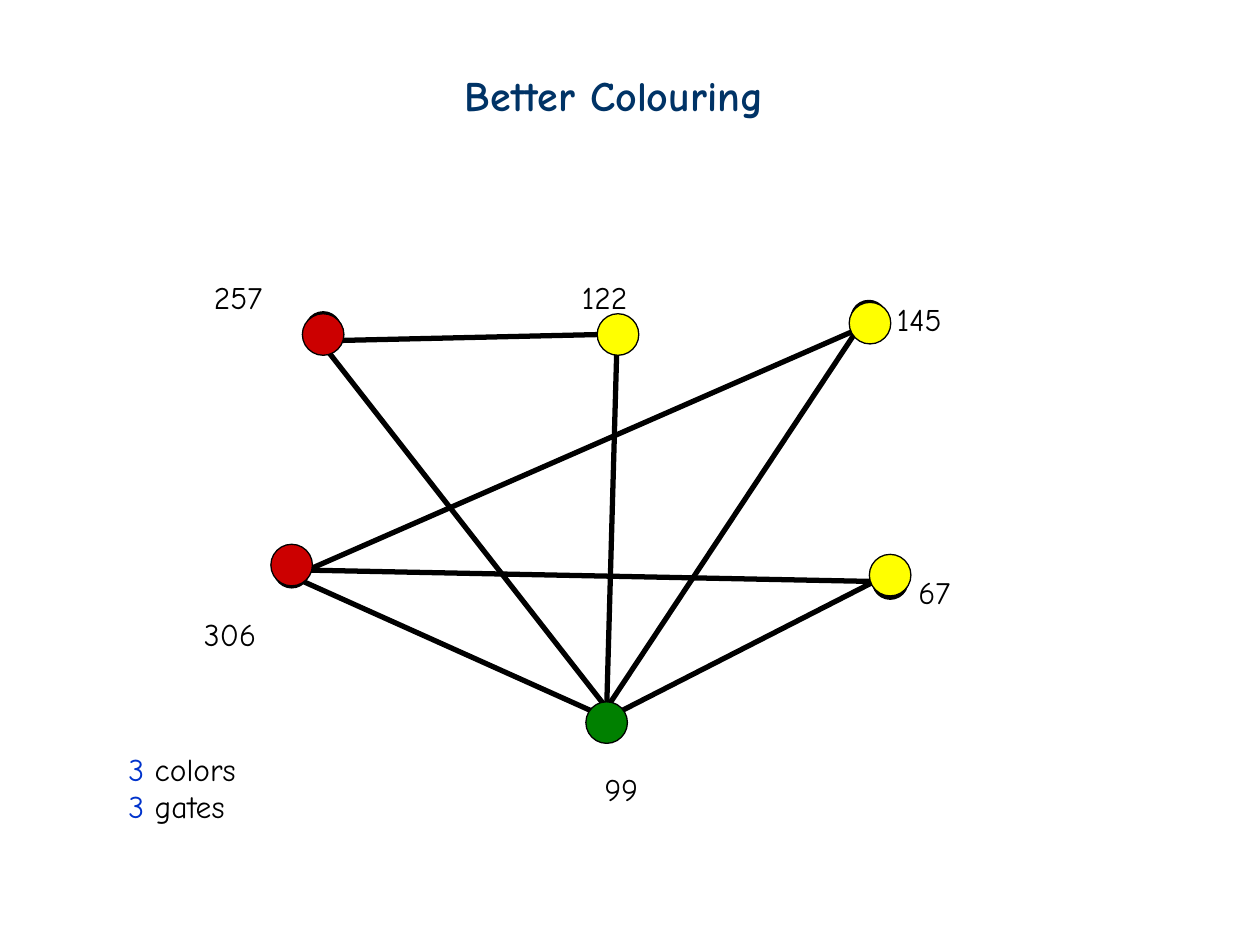
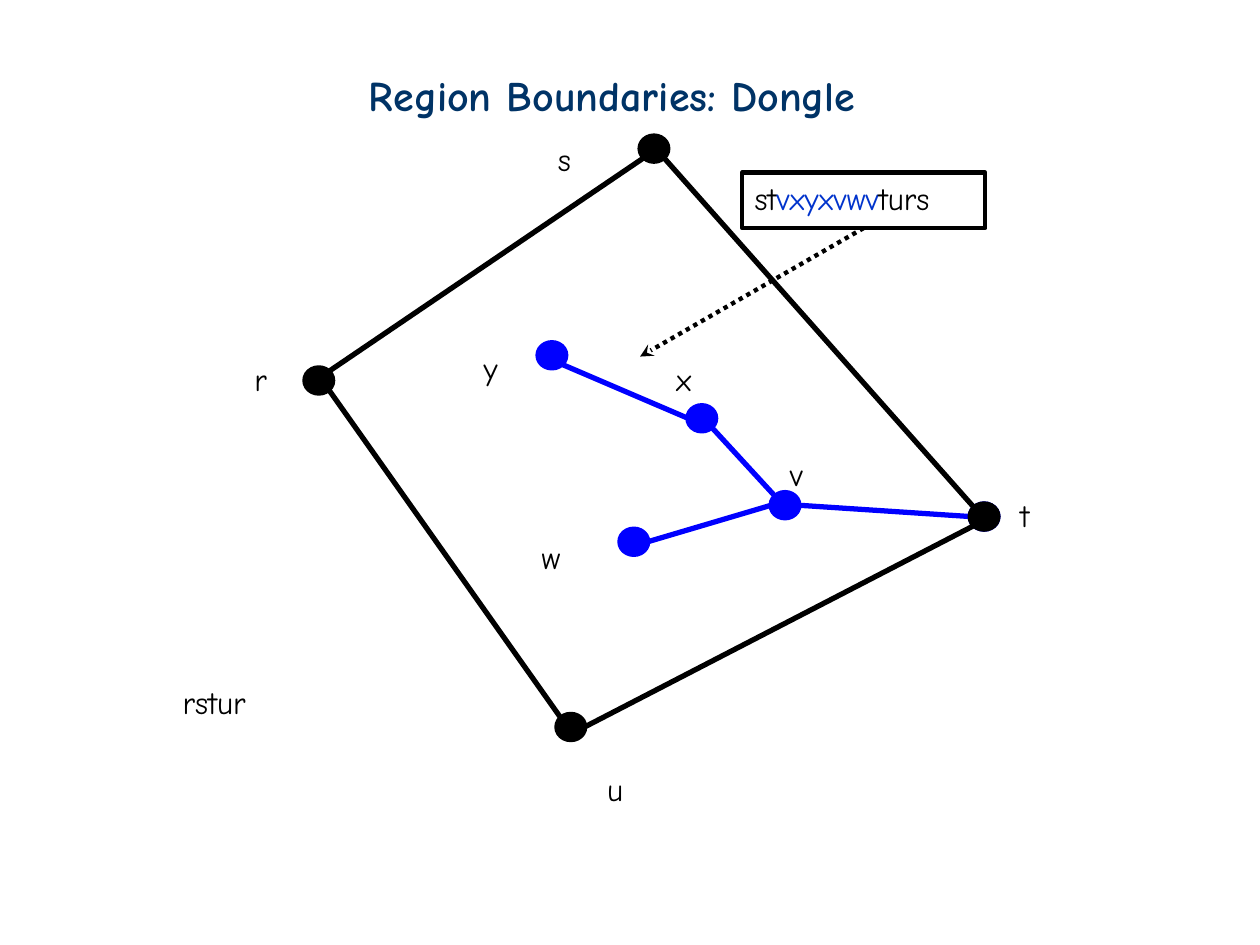
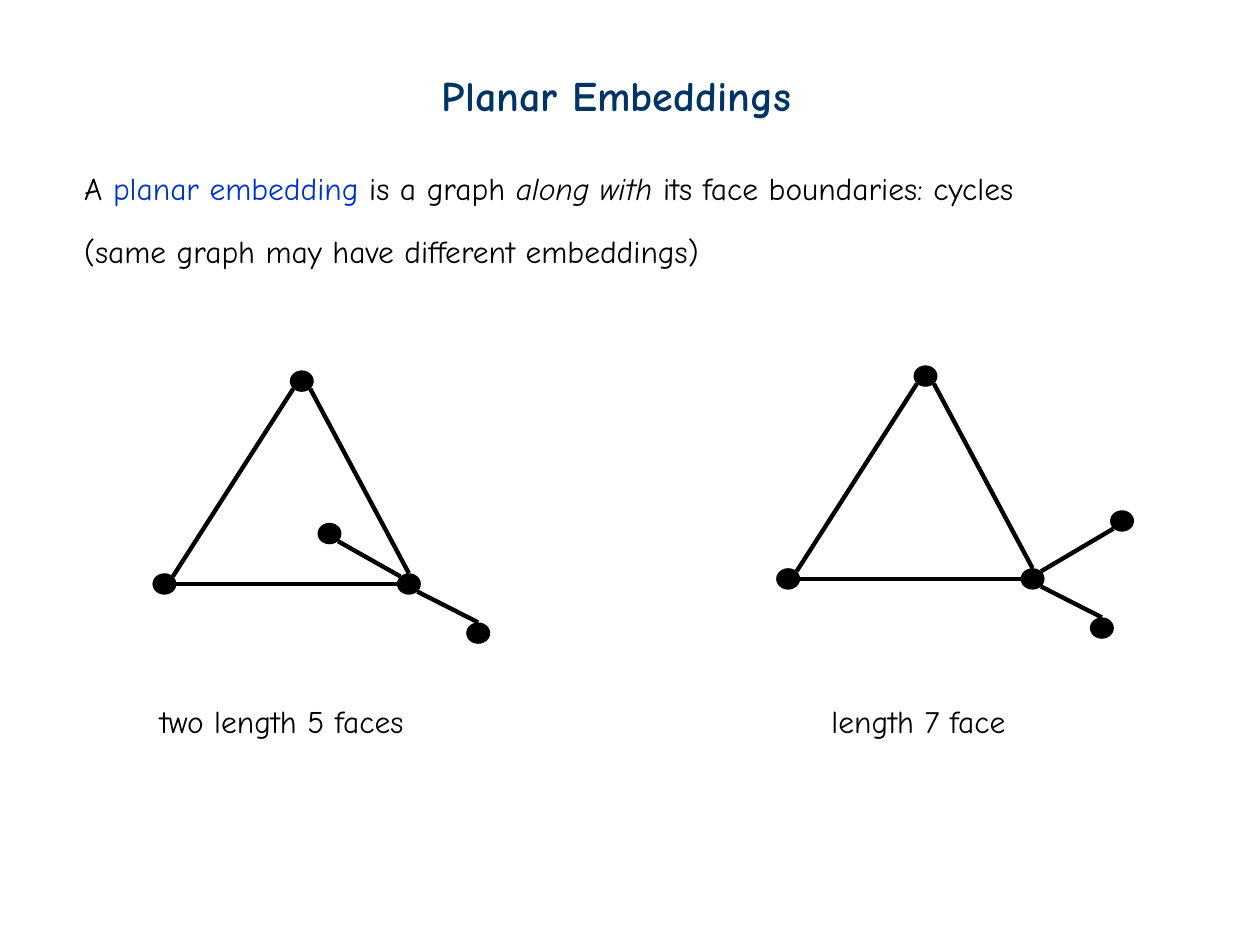
import dataclasses
import math

import lxml.etree
import pptx
import pptx.dml.color
import pptx.enum.dml
import pptx.enum.shapes
import pptx.enum.text
import pptx.oxml.ns
import pptx.util

Inches = pptx.util.Inches
Pt = pptx.util.Pt


@dataclasses.dataclass(frozen=True)
class Theme:
    font: str = "Comic Neue"
    title_size: int = 24
    text_size: int = 18
    title: str = "003366"
    ink: str = "000000"
    accent: str = "0033CC"
    blue: str = "0000FF"
    red: str = "CC0000"
    yellow: str = "FFFF00"
    green: str = "008000"
    thick: float = 3
    medium: float = 2.5
    thin: float = 0.75


@dataclasses.dataclass(frozen=True)
class Box:
    left: float
    top: float
    width: float
    height: float

    def inner(self, dx, dy, width, height):
        return Box(self.left + dx, self.top + dy, width, height)

    def site(self, direction):
        angle = math.radians(DIRECTIONS.index(direction) * 45)
        return (self.left + self.width / 2 * (1 + math.cos(angle)),
                self.top + self.height / 2 * (1 + math.sin(angle)))

    def emu(self):
        return [Inches(v) for v in (self.left, self.top, self.width, self.height)]


DIRECTIONS = ["e", "se", "s", "sw", "w", "nw", "n", "ne"]
THEME = Theme()


def rgb(color):
    return pptx.dml.color.RGBColor.from_string(color)


def set_line(line, color, width):
    line.color.rgb = rgb(color)
    line.width = Pt(width)


def add_oval(s, box, fill, line=None, width=THEME.thick):
    sp = s.shapes.add_shape(pptx.enum.shapes.MSO_SHAPE.OVAL, *box.emu())
    sp.shadow.inherit = False
    sp.fill.solid()
    sp.fill.fore_color.rgb = rgb(fill)
    if line:
        set_line(sp.line, line, width)
    else:
        sp.line.fill.background()


def add_line(s, start, end, color=THEME.ink, width=THEME.thick):
    points = [Inches(v) for v in (*start, *end)]
    cxn = s.shapes.add_connector(pptx.enum.shapes.MSO_CONNECTOR.STRAIGHT, *points)
    set_line(cxn.line, color, width)
    lxml.etree.SubElement(cxn._element.spPr, pptx.oxml.ns.qn("a:effectLst"))
    return cxn


def add_dotted_arrow(s, start, end):
    cxn = add_line(s, start, end, width=THEME.medium)
    cxn.line.dash_style = pptx.enum.dml.MSO_LINE.ROUND_DOT
    ln = cxn._element.spPr.find(pptx.oxml.ns.qn("a:ln"))
    lxml.etree.SubElement(ln, pptx.oxml.ns.qn("a:tailEnd"), type="stealth")


def add_text(s, box, *paragraphs, size=THEME.text_size, color=THEME.ink,
             bold=False, wrap=False):
    sp = s.shapes.add_textbox(*box.emu())
    tf = sp.text_frame
    tf.word_wrap = wrap
    if not wrap:
        tf.auto_size = pptx.enum.text.MSO_AUTO_SIZE.SHAPE_TO_FIT_TEXT
    for i, runs in enumerate(paragraphs):
        p = tf.add_paragraph() if i else tf.paragraphs[0]
        p.alignment = pptx.enum.text.PP_ALIGN.LEFT
        p.font.name = THEME.font
        p.font.size = Pt(size)
        p.font.bold = bold
        p.font.color.rgb = rgb(color)
        for text, *style in [(runs,)] if isinstance(runs, str) else runs:
            r = p.add_run()
            r.text = text
            if "accent" in style:
                r.font.color.rgb = rgb(THEME.accent)
            if "italic" in style:
                r.font.italic = True
    return sp


def add_title(s, text, left, width):
    add_text(s, Box(left, 0.5, width, 0.5), text,
             size=THEME.title_size, color=THEME.title, bold=True)


def add_labels(s, box, labels):
    for text, (dx, dy, width) in labels.items():
        add_text(s, box.inner(dx, dy, width, 0.4), text)


def add_graph(s, box, size, vertices, edges, color=THEME.ink, outlined=True,
              width=THEME.thick):
    ovals = {name: box.inner(*place, *size) for name, place in vertices.items()}
    for oval in ovals.values():
        add_oval(s, oval, color, color if outlined else None)
    for edge in edges:
        start, end = (ovals[name].site(direction)
                      for name, direction in (part.split(".") for part in edge.split()))
        add_line(s, start, end, color, width)


def conflict_graph(s, box):
    add_labels(s, box, {
        "257": (0.1, 0.16, 0.66), "67": (5.69, 2.5, 0.51), "99": (3.2, 4.06, 0.51),
        "145": (5.52, 0.33, 0.62), "306": (0.02, 2.83, 0.66), "122": (3.02, 0.16, 0.62),
    })
    vertices = {
        "257": (0.94, 0.49), "122": (3.27, 0.53), "306": (0.69, 2.4),
        "67": (5.44, 2.49), "145": (5.27, 0.4), "99": (3.19, 3.62),
    }
    edges = ["306.e 145.sw", "306.e 67.w", "257.se 122.w", "257.s 99.n",
             "99.n 122.s", "99.n 145.sw", "99.ne 67.w", "306.se 99.nw"]
    add_graph(s, box, (0.25, 0.25), vertices, edges)
    gates = {
        THEME.red: [(0.9, 0.49), (0.65, 2.32)],
        THEME.yellow: [(5.4, 2.4), (3.24, 0.49), (5.24, 0.4)],
        THEME.green: [(3.15, 3.57)],
    }
    for color, places in gates.items():
        for place in places:
            add_oval(s, box.inner(*place, 0.33, 0.33), color, THEME.ink, THEME.thin)


def dongle_graph(s, box):
    size = (0.22, 0.2)
    dongle = {"y": (2.27, 1.72), "w": (2.92, 3.2), "x": (3.46, 2.22),
              "v": (4.12, 2.91), "t": (5.7, 3)}
    add_graph(s, box, size, dongle,
              ["x.w y.se", "v.e t.w", "v.w w.e", "v.nw x.se"], THEME.blue)
    outer = {"r": (0.42, 1.92), "s": (3.08, 0.08), "t": (5.7, 3), "u": (2.42, 4.67)}
    add_graph(s, box, size, outer, ["r.se u.nw", "u.e t.sw", "r.ne s.sw", "s.se t.nw"])
    add_labels(s, box, {
        "r": (-0.08, 1.81, 0.32), "t": (6, 2.89, 0.32), "s": (2.33, 0.06, 0.32),
        "u": (2.72, 5.06, 0.33), "y": (1.74, 1.72, 0.33), "x": (3.27, 1.81, 0.35),
        "w": (2.2, 3.22, 0.37), "v": (4.17, 2.56, 0.32), "rstur": (-0.65, 4.37, 0.81),
    })


def boundary_callout(s, box, target):
    sp = add_text(s, box, [("st",), ("vxyxvwv", "accent"), ("turs",)])
    set_line(sp.line, THEME.ink, THEME.medium)
    add_dotted_arrow(s, box.site("s"), target)


def definition(s, box):
    sp = add_text(
        s, box,
        [("A ",), ("planar embedding", "accent"), (" is a graph ",),
         ("along with", "italic"), (" its face boundaries: cycles",)],
        "(same graph may have different embeddings)", wrap=True)
    for p in sp.text_frame.paragraphs:
        p.space_before = Pt(THEME.text_size * 0.2)
        pPr = p._p.get_or_add_pPr()
        pPr.set("marL", str(Inches(0.38)))
        pPr.set("indent", str(-Inches(0.38)))
    p.line_spacing = 1.5


def embedding(s, box, free_vertex, free_edge, caption, caption_place):
    vertices = {"top": (1.09, 0), "free": free_vertex, "left": (0, 1.61),
                "right": (1.94, 1.61), "pendant": (2.49, 2)}
    edges = ["left.ne top.sw", "right.n top.se", "pendant.n right.se",
             free_edge, "left.e right.w"]
    add_graph(s, box, (0.19, 0.17), vertices, edges, outlined=False, width=THEME.medium)
    add_labels(s, box, {caption: caption_place})


def colouring_slide(s):
    add_title(s, "Better Colouring", 3.59, 2.83)
    add_text(s, Box(0.92, 5.9, 1.13, 0.7),
             *[[("3 ", "accent"), (noun,)] for noun in ("colors", "gates")])
    conflict_graph(s, Box(1.5, 2, 6.2, 4.5))


def dongle_slide(s):
    dongle_graph(s, Box(2, 1, 6.3, 5.5))
    boundary_callout(s, Box(5.89, 1.37, 1.93, 0.44), (5.08, 2.83))
    add_title(s, "Region Boundaries: Dongle", 2.83, 4.42)


def embeddings_slide(s):
    definition(s, Box(0.57, 1.29, 8.97, 0.96))
    embedding(s, Box(1.21, 2.94, 2.7, 3), (1.31, 1.21), "right.nw free.se",
              "two length 5 faces", (-0.04, 2.58, 2.37))
    embedding(s, Box(6.16, 2.9, 2.9, 3), (2.65, 1.15), "right.ne free.sw",
              "length 7 face", (0.34, 2.62, 1.75))
    add_title(s, "Planar Embeddings", 3.41, 3.17)


def main():
    prs = pptx.Presentation()
    prs.slide_width = Inches(10)
    prs.slide_height = Inches(7.5)
    for build in (colouring_slide, dongle_slide, embeddings_slide):
        build(prs.slides.add_slide(prs.slide_layouts[6]))
    prs.save("out.pptx")


if __name__ == "__main__":
    main()
